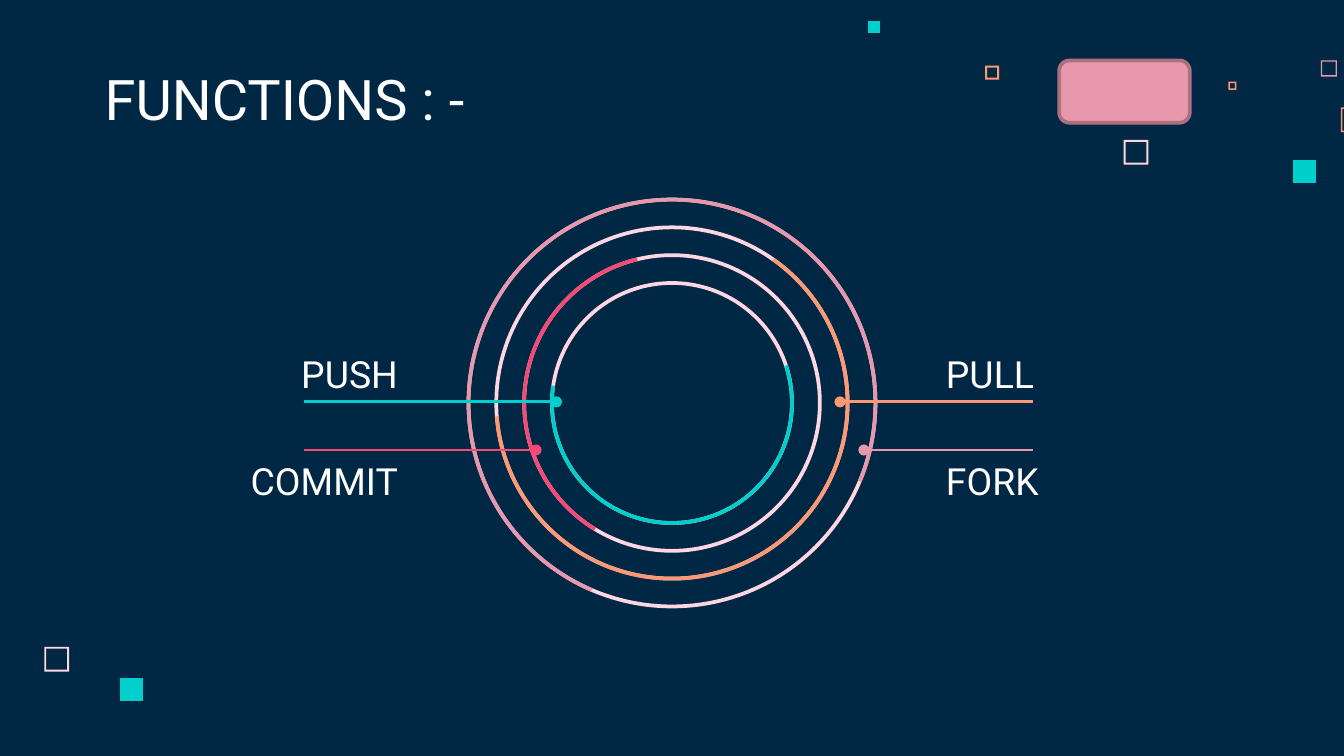
from dataclasses import dataclass

from lxml import etree
from pptx import Presentation
from pptx.dml.color import RGBColor
from pptx.enum.shapes import MSO_CONNECTOR, MSO_SHAPE
from pptx.enum.text import MSO_ANCHOR, PP_ALIGN
from pptx.oxml.ns import qn
from pptx.util import Pt

BLOCK_ARC, DONUT = MSO_SHAPE.BLOCK_ARC, MSO_SHAPE.DONUT
ROUNDED = MSO_SHAPE.ROUNDED_RECTANGLE
STRAIGHT = MSO_CONNECTOR.STRAIGHT
TOP, BOTTOM = MSO_ANCHOR.TOP, MSO_ANCHOR.BOTTOM
LEFT, RIGHT = PP_ALIGN.LEFT, PP_ALIGN.RIGHT


@dataclass(frozen=True)
class Theme:
    navy: str = "002845"
    white: str = "FFFFFF"
    blush: str = "FFD6E1"
    pink: str = "E898AC"
    mauve: str = "AC707F"
    orange: str = "FF9973"
    red: str = "F64975"
    teal: str = "00CFCC"
    font: str = "Roboto"
    title_size: int = 30
    label_size: int = 20


THEME = Theme()
CENTER_X, CENTER_Y = 360, 215.9
OUTER_RADIUS, RING_STEP, RING_WIDTH = 110, 14.9, 2

# left, top, side, border (None means solid), colour
SQUARES = [
    (602, 75, 13.2, 1, THEME.blush),
    (707.6, 32.4, 8.6, 0.7, THEME.pink),
    (658, 43.8, 4.4, 0.8, THEME.orange),
    (718.4, 57.6, 13.2, 0.8, THEME.orange),
    (692.6, 85.8, 12.4, None, THEME.teal),
    (527.8, 35.2, 7.4, 1, THEME.orange),
    (465, 11.4, 6.4, None, THEME.teal),
    (23.8, 346.6, 13.2, 1, THEME.blush),
    (64.2, 363.2, 12.4, None, THEME.teal),
]

# rotation, start and end angle in degrees, colour; outermost first
ARCS = [
    (210, 263.19, 172.67, THEME.pink),
    (0, 305.23, 175.64, THEME.orange),
    (81.2, 40.21, 175.17, THEME.red),
    (13.1, 328.69, 175.17, THEME.teal),
]

# text, left, top, anchor, alignment
LABELS = [
    ("PUSH", 72, 180.7, TOP, RIGHT),
    ("PULL", 499.7, 180.7, TOP, LEFT),
    ("COMMIT", 72, 225.4, BOTTOM, RIGHT),
    ("FORK", 499.7, 225.4, BOTTOM, LEFT),
]

# outer end, ring end, height on the slide, colour
LEADERS = [
    (162.8, 298.1, 215.3, THEME.teal),
    (162.8, 287.2, 241.1, THEME.red),
    (553.2, 450, 215.3, THEME.orange),
    (553.2, 462.8, 241.1, THEME.pink),
]


def rgb(color):
    return RGBColor.from_string(color)


def paint(shape, color):
    shape.shadow.inherit = False
    shape.fill.solid()
    shape.fill.fore_color.rgb = rgb(color)
    shape.line.fill.background()


def square_points(left, top, side):
    right, bottom = left + side, top + side
    corners = [(left, top), (left, bottom), (right, bottom), (right, top)]
    return [(Pt(x), Pt(y)) for x, y in corners]


def add_square(slide, left, top, side, border, color):
    start, *rest = square_points(left, top, side)
    builder = slide.shapes.build_freeform(*start)
    builder.add_line_segments(rest, close=True)
    if border:
        # The hole runs the other way round, so it stays empty
        start, *rest = square_points(left + border, top + border, side - 2 * border)[::-1]
        builder.move_to(*start)
        builder.add_line_segments(rest, close=True)
    paint(builder.convert_to_shape(), color)


def add_round(slide, preset, radius, adjustments, color):
    """Add a round preset shape around the common centre."""
    side = Pt(2 * radius)
    shape = slide.shapes.add_shape(
        preset, Pt(CENTER_X - radius), Pt(CENTER_Y - radius), side, side)
    for index, value in enumerate(adjustments):
        shape.adjustments[index] = value
    paint(shape, color)
    return shape


def add_ring(slide, radius):
    add_round(slide, DONUT, radius, [RING_WIDTH / (2 * radius)], THEME.blush)


def add_arc(slide, radius, rotation, start, end, color):
    # Angles are stored in 60000ths of a degree, adjustments in 100000ths
    adjustments = [start * 0.6, end * 0.6, RING_WIDTH / (2 * radius)]
    add_round(slide, BLOCK_ARC, radius, adjustments, color).rotation = rotation


def add_text(slide, text, box, size, anchor, align):
    frame = slide.shapes.add_textbox(*map(Pt, box)).text_frame
    margins = {f"margin_{side}": Pt(7.2) for side in ("left", "top", "right", "bottom")}
    for name, value in {"word_wrap": True, "vertical_anchor": anchor, **margins}.items():
        setattr(frame, name, value)
    paragraph = frame.paragraphs[0]
    paragraph.alignment = align
    run = paragraph.add_run()
    run.text = text
    for name, value in {"name": THEME.font, "size": Pt(size)}.items():
        setattr(run.font, name, value)
    run.font.color.rgb = rgb(THEME.white)


def add_leader(slide, outer_x, ring_x, y, color):
    """Draw a line that ends in a dot on its ring."""
    leader = slide.shapes.add_connector(STRAIGHT, Pt(outer_x), Pt(y), Pt(ring_x), Pt(y))
    leader.line.width = Pt(1.5)
    leader.line.color.rgb = rgb(color)
    etree.SubElement(leader.line._get_or_add_ln(), qn("a:tailEnd"), type="oval")
    etree.SubElement(leader._element.spPr, qn("a:effectLst"))


def add_badge(slide):
    badge = slide.shapes.add_shape(ROUNDED, Pt(567.4), Pt(32.4), Pt(70), Pt(33.4))
    paint(badge, THEME.pink)
    badge.line.color.rgb = rgb(THEME.mauve)
    badge.line.width = Pt(2)


def main():
    deck = Presentation()
    deck.slide_width, deck.slide_height = Pt(720), Pt(405)
    slide = deck.slides.add_slide(deck.slide_layouts[6])
    slide.background.fill.solid()
    slide.background.fill.fore_color.rgb = rgb(THEME.navy)

    for square in SQUARES:
        add_square(slide, *square)
    add_text(slide, "FUNCTIONS : -", (49, 32.4, 372.2, 45.4), THEME.title_size, BOTTOM, LEFT)
    for text, left, top, anchor, align in LABELS:
        add_text(slide, text, (left, top, 148.3, 51.1), THEME.label_size, anchor, align)

    radii = [OUTER_RADIUS - RING_STEP * level for level in range(len(ARCS))]
    for radius in radii:
        add_ring(slide, radius)
    for radius, arc in zip(radii, ARCS):
        add_arc(slide, radius, *arc)
    for leader in LEADERS:
        add_leader(slide, *leader)
    add_badge(slide)
    deck.save("out.pptx")


if __name__ == "__main__":
    main()
